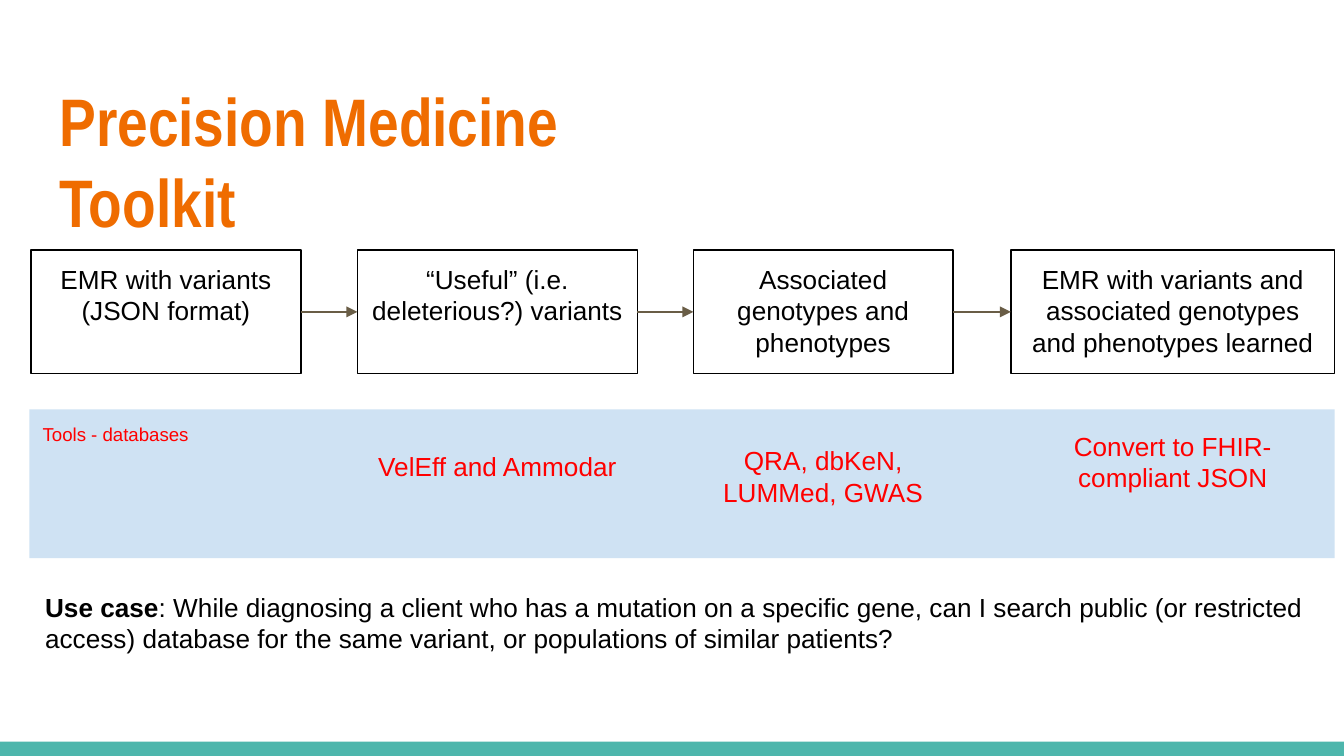
from dataclasses import dataclass

from lxml import etree
from pptx import Presentation
from pptx.dml.color import RGBColor
from pptx.enum import shapes, text
from pptx.oxml import ns
from pptx.util import Pt

BLACK, RED, ORANGE = "000000", "FF0000", "EF6C00"
TEAL, PALE_BLUE, BROWN = "4DB6AC", "CFE2F3", "695D46"
INSET = 7.2
STEP_TOP, STEP_HEIGHT = 133.9, 66.4


@dataclass
class Box:
    left: float
    top: float
    width: float
    height: float


@dataclass
class Step:
    left: float
    width: float
    label: str


@dataclass
class Tool:
    box: Box
    label: str


STEPS = [
    Step(16.7, 144.5, "EMR with variants (JSON format)"),
    Step(191.5, 150, "“Useful” (i.e. deleterious?) variants"),
    Step(371.5, 139, "Associated genotypes and phenotypes"),
    Step(541.6, 173.4, "EMR with variants and associated genotypes and phenotypes learned"),
]
TOOLS = [
    Tool(Box(186.2, 234, 160.6, 45.4), "VelEff and Ammodar"),
    Tool(Box(371.5, 231, 139, 55.4), "QRA, dbKeN, LUMMed, GWAS"),
    Tool(Box(541.6, 223.4, 173.4, 63.4), "Convert to FHIR-compliant JSON"),
]


def color(value: str) -> RGBColor:
    return RGBColor.from_string(value)


def bounds(box: Box) -> list:
    return [Pt(value) for value in (box.left, box.top, box.width, box.height)]


def write(shape, runs: list, size: float, ink: str, font: str = "Arial",
          bold: bool | None = None, centered: bool = False) -> None:
    frame = shape.text_frame
    frame.word_wrap = True
    frame.vertical_anchor = text.MSO_ANCHOR.TOP
    frame.margin_left = frame.margin_right = Pt(INSET)
    frame.margin_top = frame.margin_bottom = Pt(INSET)
    paragraph = frame.paragraphs[0]
    paragraph.alignment = text.PP_ALIGN.CENTER if centered else text.PP_ALIGN.LEFT
    paragraph.font.name, paragraph.font.size = font, Pt(size)
    paragraph.font.bold = bold
    paragraph.font.color.rgb = color(ink)
    for words in runs:
        run = paragraph.add_run()
        run.text = words
        # Runs in shapes would otherwise take the theme's white
        run.font.color.rgb = color(ink)


def add_rectangle(slide, box: Box, fill: str | None = None, line: str | None = None):
    shape = slide.shapes.add_shape(shapes.MSO_SHAPE.RECTANGLE, *bounds(box))
    shape.shadow.inherit = False
    if fill:
        shape.fill.solid()
        shape.fill.fore_color.rgb = color(fill)
    else:
        shape.fill.background()
    if line:
        shape.line.color.rgb = color(line)
        shape.line.width = Pt(0.75)
    else:
        shape.line.fill.background()
    return shape


def add_arrow(slide, start, end) -> None:
    arrow = slide.shapes.add_connector(shapes.MSO_CONNECTOR.STRAIGHT, 0, 0, 0, 0)
    arrow.begin_connect(start, 3)
    arrow.end_connect(end, 1)
    arrow.line.color.rgb = color(BROWN)
    arrow.line.width = Pt(0.75)
    etree.SubElement(arrow.line._get_or_add_ln(), ns.qn("a:tailEnd"), type="triangle")
    etree.SubElement(arrow._element.spPr, ns.qn("a:effectLst"))


def main() -> None:
    presentation = Presentation()
    presentation.slide_width, presentation.slide_height = Pt(720), Pt(405)
    slide = presentation.slides.add_slide(presentation.slide_layouts[6])

    # Footer bar and tools band
    add_rectangle(slide, Box(0, 397.3, 720, 7.7), fill=TEAL)
    band = add_rectangle(slide, Box(15.8, 219.3, 699.2, 79.7), fill=PALE_BLUE)
    write(band, ["Tools - databases"], 10, RED)

    # Title
    title = slide.shapes.add_textbox(*bounds(Box(24.7, 35.4, 358.6, 45.4)))
    write(title, ["Precision Medicine Toolkit"], 36, ORANGE, font="Arial Narrow", bold=True)

    # Process steps, joined by arrows
    previous = None
    for step in STEPS:
        current = add_rectangle(
            slide, Box(step.left, STEP_TOP, step.width, STEP_HEIGHT), line=BLACK)
        write(current, [step.label], 14, BLACK, centered=True)
        if previous is not None:
            add_arrow(slide, previous, current)
        previous = current

    # Tools under the steps
    for tool in TOOLS:
        label = slide.shapes.add_textbox(*bounds(tool.box))
        write(label, [tool.label], 14, RED, centered=True)

    # Use case
    use_case = slide.shapes.add_textbox(*bounds(Box(17.1, 309.6, 699.2, 75.6)))
    write(use_case, [
        "Use case",
        ": While diagnosing a client who has a mutation on a specific gene, can I search "
        "public (or restricted access) database for the same variant, or populations of "
        "similar patients?",
    ], 14, BLACK)
    use_case.text_frame.paragraphs[0].runs[0].font.bold = True

    presentation.save("out.pptx")


if __name__ == "__main__":
    main()
